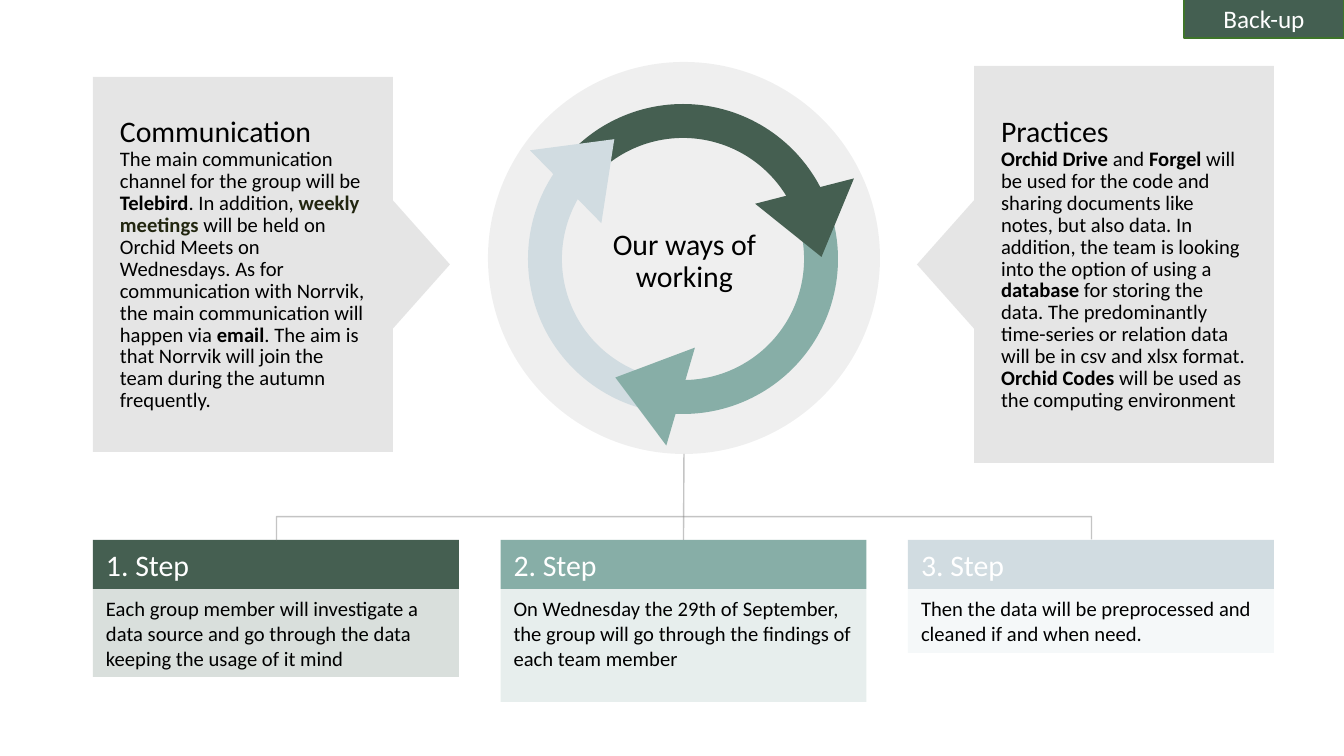
"""Build the slide "Our ways of working" with its cycle, callouts and steps."""
from lxml import etree
from pptx import Presentation
from pptx.enum import shapes, text
from pptx.oxml import ns
from pptx.util import Emu, Pt
from pptx.dml.color import RGBColor

PX = 914400 / 100.8
FONT = "Calibri"
BIG, SMALL = 21.3, 14.7
GREY, BLACK, WHITE = "808080", "000000", "FFFFFF"
DARK, TEAL, PALE = "455F51", "87AEA7", "D1DCE1"
KIND = shapes.MSO_SHAPE
ANCHOR = text.MSO_ANCHOR

CENTRE = "Our ways of working"
HIGHLIGHT = {"weekly meetings ": "222610"}
CALLOUTS = [
    (KIND.LEFT_ARROW_CALLOUT, (917, 66, 357, 397), "Practices",
     "**Orchid Drive **and **Forgel** will be used for the code and sharing "
     "documents like notes, but also data. In addition, the team is looking "
     "into the option of using a **database** for storing the data. The "
     "predominantly time-series or relation data will be in csv and xlsx "
     "format. **Orchid Codes **will be used as the computing environment"),
    (KIND.RIGHT_ARROW_CALLOUT, (93, 77, 357, 375), "Communication",
     "The main communication channel for the group will be **Telebird**. In "
     "addition, **weekly meetings **will be held on Orchid Meets on "
     "Wednesdays. As for communication with Norrvik, the main communication "
     "will happen via **email**. The aim is that Norrvik will join the team "
     "during the autumn frequently."),
]
STEPS = [
    ("1. Step", DARK, 88, "Each group member will investigate a data source "
     "and go through the data keeping the usage of it mind"),
    ("2. Step", TEAL, 113, "On Wednesday the 29th of September, the group will "
     "go through the findings of each team member"),
    ("3. Step", PALE, 64, "Then the data will be preprocessed and cleaned if "
     "and when need."),
]
ARCS = [(120, TEAL, 130.37, 203.42), (0, DARK, 131.25, 203.19),
        (240, PALE, 130.1, 204.38)]
HEADS = [(762, 190, 165.6, DARK), (539, 129, 45.6, PALE),
         (597, 353, 286.3, TEAL)]
STEP_X, STEP_Y, STEP_W, STEP_PITCH, HEADER_H = 93, 540, 366, 407.5, 49
CIRCLE = (488, 62, 392, 392)
RING = (545, 121, 276, 276)
BRACKET_RISE = 24


def px(n):
    return Emu(round(n * PX))


def paint(fmt, color, alpha=100):
    fmt.solid()
    fmt.fore_color.rgb = RGBColor.from_string(color)
    if alpha < 100:
        clr = fmt._xPr.find(ns.qn("a:solidFill"))[0]
        etree.SubElement(clr, ns.qn("a:alpha")).set("val", str(alpha * 1000))


def add_shape(parent, kind, box, fill=None, alpha=100):
    sp = parent.add_shape(kind, *map(px, box))
    sp.shadow.inherit = False
    sp.line.fill.background()
    if fill:
        paint(sp.fill, fill, alpha)
    else:
        sp.fill.background()
    return sp


def style(r, size, color=BLACK, bold=False):
    r.font.name, r.font.size, r.font.bold = FONT, Pt(size), bold
    r.font.color.rgb = RGBColor.from_string(color)


def write(sp, words, size, color=BLACK, anchor=ANCHOR.TOP, inset=(0, 0),
          align=text.PP_ALIGN.LEFT, spacing=None):
    tf = sp.text_frame
    tf.word_wrap, tf.vertical_anchor = True, anchor
    tf.margin_left = tf.margin_right = px(inset[0])
    tf.margin_top = tf.margin_bottom = px(inset[1])
    p = tf.paragraphs[0]
    p.text, p.alignment, p.line_spacing = words, align, spacing
    style(p.runs[0], size, color)
    return tf


def add_cycle(s):
    group = s.shapes.add_group_shape().shapes
    add_shape(group, KIND.OVAL, CIRCLE, GREY, 12)
    for turn, color, start, end in ARCS:
        arc = add_shape(group, KIND.ARC, RING)
        arc.adjustments[0], arc.adjustments[1] = start, end
        arc.rotation, arc.line.width = turn, Pt(24.25)
        paint(arc.line.fill, color)
    for x, y, turn, color in HEADS:
        add_shape(group, KIND.ISOSCELES_TRIANGLE, (x, y, 102, 68),
                  color).rotation = turn


def add_steps(s):
    headers = []
    for i, (title, color, height, words) in enumerate(STEPS):
        x = STEP_X + i * STEP_PITCH
        sp = add_shape(s.shapes, KIND.RECTANGLE,
                       (x, STEP_Y, STEP_W, HEADER_H), color)
        write(sp, title, BIG, WHITE, ANCHOR.BOTTOM, (13, 7))
        headers.append(sp)
        sp = add_shape(s.shapes, KIND.RECTANGLE,
                       (x, STEP_Y + HEADER_H, STEP_W, height), color, 20)
        write(sp, words, SMALL, inset=(13, 7))
    return headers


def add_line(s, kind, start, end):
    line = s.shapes.add_connector(kind, *map(px, start + end))
    line.line.width = Pt(1)
    paint(line.line.fill, GREY, 45)
    etree.SubElement(line._element.spPr, ns.qn("a:effectLst"))
    return line


def add_links(s, headers):
    left = STEP_X + STEP_W / 2
    span = 2 * STEP_PITCH
    bracket = add_line(s, shapes.MSO_CONNECTOR.ELBOW,
                       (left, STEP_Y), (left + span, STEP_Y))
    bracket.begin_connect(headers[0], 0)
    bracket.end_connect(headers[2], 0)
    bracket.left, bracket.top = px(left + span / 2), px(STEP_Y - span / 2)
    bracket.width, bracket.height = px(1), px(span)
    xfrm = bracket._element.spPr.xfrm
    for name, value in (("rot", "5400000"), ("flipH", "1"), ("flipV", "1")):
        xfrm.set(name, value)
    guides = bracket._element.spPr.prstGeom.get_or_add_avLst()
    guide = etree.SubElement(guides, ns.qn("a:gd"))
    guide.set("name", "adj1")
    guide.set("fmla", f"val {BRACKET_RISE * 100000}")
    x, y, w, h = CIRCLE
    stem = add_line(s, shapes.MSO_CONNECTOR.STRAIGHT,
                    (x + w / 2, y + h), (left + span / 2, STEP_Y))
    stem.end_connect(headers[1], 0)


def add_callout(s, kind, box, title, body):
    sp = add_shape(s.shapes, kind, box, GREY, 20)
    for i, value in enumerate((0.25, 0.18, 0.16, 0.88)):
        sp.adjustments[i] = value
    tf = write(sp, title, BIG, anchor=ANCHOR.MIDDLE, inset=(27, 27),
               spacing=0.89)
    p = tf.add_paragraph()
    p.alignment, p.line_spacing = text.PP_ALIGN.LEFT, 0.89
    for i, part in enumerate(body.split("**")):
        if part:
            r = p.add_run()
            r.text = part
            style(r, SMALL, HIGHLIGHT.get(part, BLACK), i % 2 == 1)


def main():
    prs = Presentation()
    prs.slide_width, prs.slide_height = px(1344), px(756)
    s = prs.slides.add_slide(prs.slide_layouts[6])
    add_cycle(s)
    add_links(s, add_steps(s))
    label = s.shapes.add_textbox(*map(px, (596, 230, 177, 65)))
    write(label, CENTRE, BIG, align=text.PP_ALIGN.CENTER, spacing=0.89)
    for callout in CALLOUTS:
        add_callout(s, *callout)
    tag = add_shape(s.shapes, KIND.RECTANGLE, (1184, -1, 160, 39), "445F51")
    tag.line.width = Pt(1)
    paint(tag.line.fill, "3E752A")
    write(tag, "Back-up", 18, WHITE, ANCHOR.MIDDLE, (10, 5),
          text.PP_ALIGN.CENTER)
    prs.save("out.pptx")


if __name__ == "__main__":
    main()
